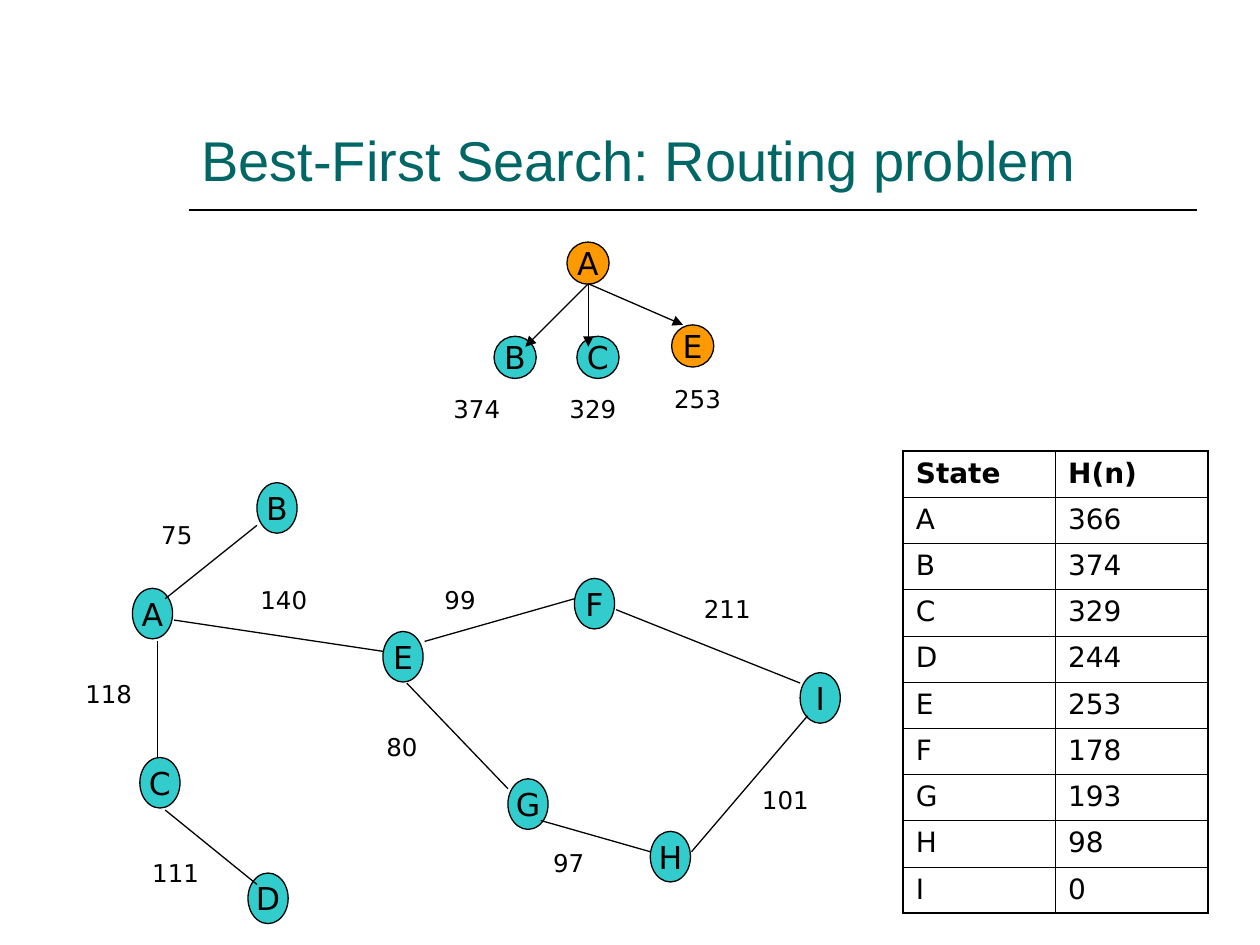
from lxml.etree import SubElement
from pptx import Presentation
from pptx.dml.color import RGBColor
from pptx.enum.shapes import MSO_CONNECTOR as Connector, MSO_SHAPE as Shape
from pptx.enum.text import MSO_ANCHOR as Anchor, PP_ALIGN as Align
from pptx.oxml.ns import qn
from pptx.util import Cm, Pt

BLACK = RGBColor(0x00, 0x00, 0x00)
TEAL = RGBColor(0x00, 0x66, 0x66)
AQUA = RGBColor(0x33, 0xCC, 0xCC)
ORANGE = RGBColor(0xFF, 0x99, 0x00)
BODY_FONT = "DejaVu Sans"

GRAPH_NODES = [
    ("A", 2.67, 11.86), ("C", 2.82, 15.27), ("B", 5.18, 9.73),
    ("E", 7.72, 12.73), ("F", 11.58, 11.66), ("G", 10.24, 15.7),
    ("H", 13.11, 16.76), ("I", 16.13, 13.56), ("D", 5, 17.6),
]
GRAPH_EDGES = [
    (3.33, 12.07, 5.18, 10.59), (3.18, 12.93, 3.18, 15.27),
    (3.33, 16.33, 5.18, 17.83), (3.51, 12.5, 7.72, 13.13),
    (8.56, 12.93, 11.58, 12.07), (8.2, 13.77, 10.24, 15.9),
    (10.9, 16.54, 13.11, 17.17), (13.94, 17.17, 16.28, 14.43),
    (12.42, 12.29, 16.13, 13.77),
]
DISTANCES = [
    ("75", 3, 10.36, 1.17), ("118", 1.47, 13.56, 1.52),
    ("140", 5, 11.66, 1.68), ("111", 2.82, 17.17, 1.68),
    ("99", 8.71, 11.66, 1.68), ("80", 7.54, 14.63, 1.68),
    ("97", 10.9, 16.97, 1.68), ("101", 15.11, 15.7, 1.68),
    ("211", 13.94, 11.86, 1.68),
]
TREE_NODES = [
    ("A", 11.43, 4.88, ORANGE), ("B", 9.96, 6.78, AQUA),
    ("C", 11.63, 6.78, AQUA), ("E", 13.54, 6.55, ORANGE),
]
TREE_ROOT = (11.86, 5.72)
TREE_TIPS = [(10.59, 6.99), (11.86, 6.99), (13.77, 6.55)]
TREE_COSTS = [("374", 8.89, 7.82), ("329", 11.23, 7.82), ("253", 13.34, 7.62)]
HEURISTICS = [
    ("State", "H(n)"), ("A", "366"), ("B", "374"), ("C", "329"), ("D", "244"),
    ("E", "253"), ("F", "178"), ("G", "193"), ("H", "98"), ("I", "0"),
]


def set_text(tf, text, size, font=BODY_FONT, color=BLACK, bold=False):
    p = tf.paragraphs[0]
    p.text = text
    p.font.name = font
    p.font.size = Pt(size)
    p.font.bold = bold
    p.font.color.rgb = color
    return p


def add_node(shapes, text, x, y, w, h, color):
    sp = shapes.add_shape(Shape.OVAL, Cm(x), Cm(y), Cm(w), Cm(h))
    sp.shadow.inherit = False
    sp.fill.solid()
    sp.fill.fore_color.rgb = color
    sp.line.color.rgb = BLACK
    sp.line.width = Pt(0.75)
    tf = sp.text_frame
    tf.word_wrap = False
    tf.vertical_anchor = Anchor.MIDDLE
    set_text(tf, text, 18).alignment = Align.CENTER


def add_line(shapes, x1, y1, x2, y2, width=0.75, arrow=False):
    line = shapes.add_connector(Connector.STRAIGHT, Cm(x1), Cm(y1), Cm(x2), Cm(y2))
    line.line.color.rgb = BLACK
    line.line.width = Pt(width)
    if arrow:
        SubElement(line.line._get_or_add_ln(), qn("a:tailEnd"), type="triangle")
    SubElement(line._element.spPr, qn("a:effectLst"))


def add_label(shapes, text, x, y, w):
    tf = shapes.add_textbox(Cm(x), Cm(y), Cm(w), Cm(0.86)).text_frame
    tf.word_wrap = True
    set_text(tf, text, 14)


def add_title(shapes, text):
    tf = shapes.add_textbox(Cm(3.81), Cm(0.84), Cm(20.32), Cm(3.18)).text_frame
    tf.word_wrap = True
    tf.vertical_anchor = Anchor.BOTTOM
    set_text(tf, text, 32, "Arial", TEAL)
    add_line(shapes, 3.81, 4.24, 24.13, 4.24, 1)


def set_borders(cell, outer_sides):
    tcPr = cell._tc.get_or_add_tcPr()
    for side in "LRTB":
        width = Pt(1.08 if side in outer_sides else 0.45)
        ln = SubElement(tcPr, qn(f"a:ln{side}"), w=str(width))
        fill = SubElement(ln, qn("a:solidFill"))
        SubElement(fill, qn("a:srgbClr"), val=str(BLACK))


def add_heuristics(shapes, rows):
    last = len(rows) - 1
    table = shapes.add_table(len(rows), 2, Cm(18.21), Cm(9.09),
                             Cm(6.14), Cm(0.93 * len(rows))).table
    table.horz_banding = False
    for column in table.columns:
        column.width = Cm(3.07)
    for i, row in enumerate(rows):
        table.rows[i].height = Cm(0.93)
        for j, text in enumerate(row):
            cell = table.cell(i, j)
            vertical = {0: "T", last: "B"}.get(i, "")
            set_borders(cell, "LR"[j] + vertical)
            cell.fill.background()
            set_text(cell.text_frame, text, 16, bold=i == 0)


def add_graph(shapes):
    for name, x, y in GRAPH_NODES:
        add_node(shapes, name, x, y, 0.81, 1.02, AQUA)
    for edge in GRAPH_EDGES:
        add_line(shapes, *edge)
    for distance in DISTANCES:
        add_label(shapes, *distance)


def add_tree(shapes):
    for name, x, y, color in TREE_NODES:
        add_node(shapes, name, x, y, 0.85, 0.85, color)
    for tip in TREE_TIPS:
        add_line(shapes, *TREE_ROOT, *tip, arrow=True)
    for cost in TREE_COSTS:
        add_label(shapes, *cost, 1.7)


def main():
    prs = Presentation()
    prs.slide_width, prs.slide_height = Cm(25.4), Cm(19.05)
    shapes = prs.slides.add_slide(prs.slide_layouts[6]).shapes
    add_title(shapes, "Best-First Search: Routing problem")
    add_graph(shapes.add_group_shape().shapes)
    add_heuristics(shapes, HEURISTICS)
    add_tree(shapes)
    prs.save("out.pptx")


if __name__ == "__main__":
    main()
